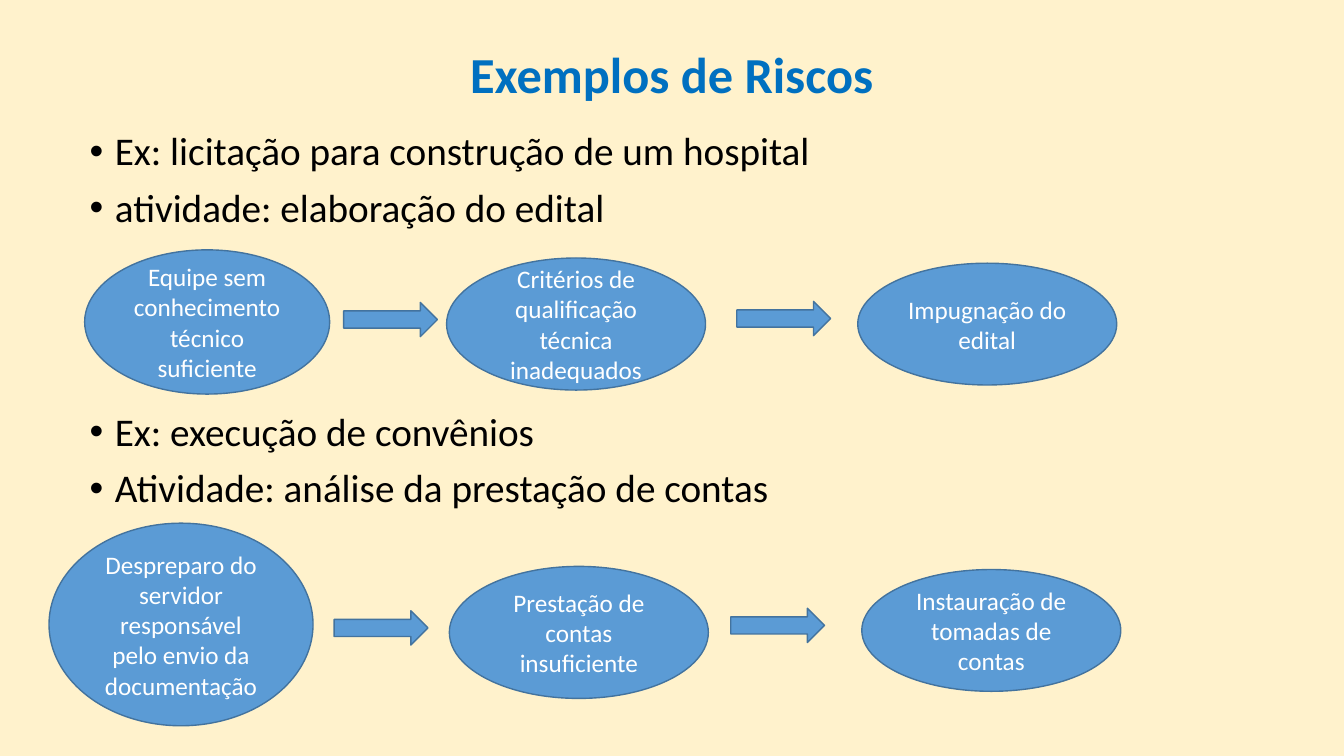
import dataclasses

import lxml.etree
import pptx
import pptx.dml.color
import pptx.enum.shapes
import pptx.enum.text
import pptx.oxml.ns
import pptx.util

Pt = pptx.util.Pt
RGB = pptx.dml.color.RGBColor.from_string
SHAPES = pptx.enum.shapes.MSO_SHAPE
ALIGN = pptx.enum.text.PP_ALIGN
ANCHOR = pptx.enum.text.MSO_ANCHOR


@dataclasses.dataclass(frozen=True)
class Theme:
    font: str = "Calibri"
    background: str = "FFF2CC"
    heading: str = "0070C0"
    body: str = "000000"
    fill: str = "5B9BD5"
    outline: str = "43739E"
    label: str = "FFFFFF"
    heading_size: int = 36
    body_size: int = 28
    label_size: int = 18
    outline_width: int = 1
    line_spacing: float = 0.9


THEME = Theme()

ARROW_SIZE = (67, 24.5)

TOPICS = [
    ("Ex: licitação para construção de um hospital", 0),
    ("atividade: elaboração do edital", 10),
    ("Ex: execução de convênios", 130),
    ("Atividade: análise da prestação de contas", 10),
]

RISK_CHAINS = [
    {
        "stages": [
            ("Equipe sem conhecimento técnico suficiente", (60.5, 178.5, 175, 103)),
            ("Critérios de qualificação técnica inadequados", (319, 184.3, 185, 94.3)),
            ("Impugnação do edital", (612.7, 188, 185, 87)),
        ],
        "arrows": [(245.5, 216), (526.3, 215.3)],
    },
    {
        "stages": [
            ("Despreparo do servidor responsável pelo envio da documentação",
             (35, 373.7, 188.6, 144.7)),
            ("Prestação de contas insuficiente", (321, 404.6, 185, 94.3)),
            ("Instauração de tomadas de contas", (615.6, 406.8, 185, 87)),
        ],
        "arrows": [(238.7, 436.3), (522, 434.5)],
    },
]


def write_run(paragraph, text, size, color, bold=False):
    run = paragraph.add_run()
    run.text = text
    run.font.name = THEME.font
    run.font.size = Pt(size)
    run.font.bold = bold
    run.font.color.rgb = RGB(color)


def add_text_frame(slide, box):
    frame = slide.shapes.add_textbox(*map(Pt, box)).text_frame
    frame.word_wrap = True
    return frame


def add_heading(slide, text, box):
    frame = add_text_frame(slide, box)
    frame.vertical_anchor = ANCHOR.MIDDLE
    heading = frame.paragraphs[0]
    heading.alignment = ALIGN.CENTER
    heading.line_spacing = THEME.line_spacing
    write_run(heading, text, THEME.heading_size, THEME.heading, bold=True)


def add_bullet(paragraph):
    properties = paragraph._p.get_or_add_pPr()
    properties.set("marL", str(Pt(18)))
    properties.set("indent", str(Pt(-18)))
    qn = pptx.oxml.ns.qn
    lxml.etree.SubElement(properties, qn("a:buFont"), typeface="Arial")
    lxml.etree.SubElement(properties, qn("a:buChar"), char="•")


def add_topics(slide, topics, box):
    frame = add_text_frame(slide, box)
    for index, (text, space_before) in enumerate(topics):
        topic = frame.add_paragraph() if index else frame.paragraphs[0]
        add_bullet(topic)
        topic.line_spacing = THEME.line_spacing
        topic.space_before = Pt(space_before)
        write_run(topic, text, THEME.body_size, THEME.body)


def add_filled_shape(slide, preset, box):
    shape = slide.shapes.add_shape(preset, *map(Pt, box))
    shape.shadow.inherit = False
    shape.fill.solid()
    shape.fill.fore_color.rgb = RGB(THEME.fill)
    shape.line.color.rgb = RGB(THEME.outline)
    shape.line.width = Pt(THEME.outline_width)
    return shape


def add_stage(slide, text, box):
    frame = add_filled_shape(slide, SHAPES.OVAL, box).text_frame
    frame.word_wrap = True
    frame.vertical_anchor = ANCHOR.MIDDLE
    label = frame.paragraphs[0]
    label.alignment = ALIGN.CENTER
    write_run(label, text, THEME.label_size, THEME.label)


def add_risk_chain(slide, chain):
    for text, box in chain["stages"]:
        add_stage(slide, text, box)
    for corner in chain["arrows"]:
        add_filled_shape(slide, SHAPES.RIGHT_ARROW, corner + ARROW_SIZE)


def main():
    presentation = pptx.Presentation()
    presentation.slide_width = Pt(960)
    presentation.slide_height = Pt(540)
    slide = presentation.slides.add_slide(presentation.slide_layouts[6])
    slide.background.fill.solid()
    slide.background.fill.fore_color.rgb = RGB(THEME.background)

    add_heading(slide, "Exemplos de Riscos", (66, 28.8, 828, 53.3))
    add_topics(slide, TOPICS, (57, 90.7, 828, 423.4))
    for chain in RISK_CHAINS:
        add_risk_chain(slide, chain)

    presentation.save("out.pptx")


if __name__ == "__main__":
    main()
